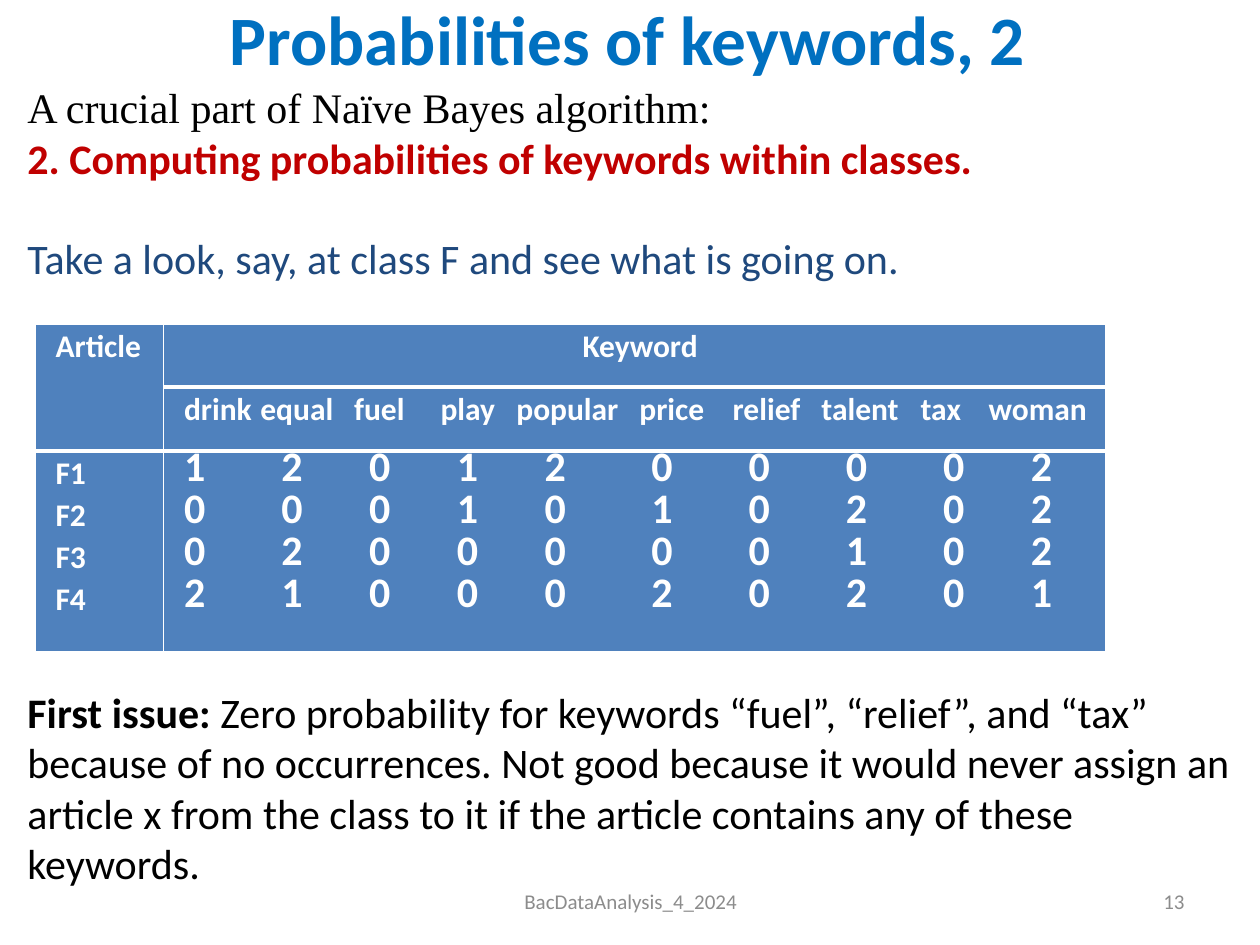
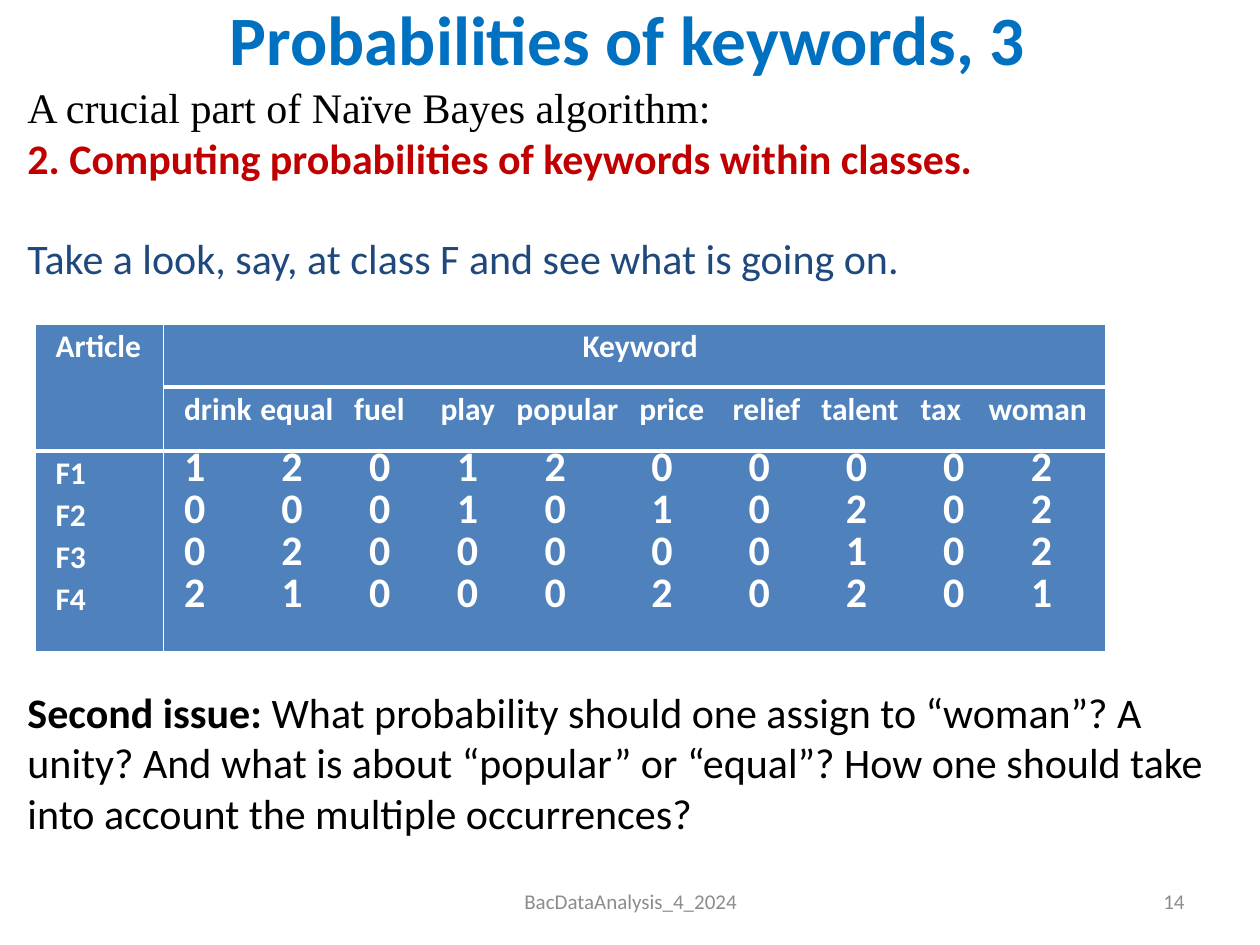
import itertools

import pptx
import pptx.dml.color
import pptx.enum.text
import pptx.oxml
import pptx.oxml.ns
import pptx.util
from pptx.util import Cm

ALIGN = pptx.enum.text.PP_ALIGN
ANCHOR = pptx.enum.text.MSO_ANCHOR
NAMESPACE = pptx.oxml.ns.nsdecls("a")

TITLE_BLUE = "0070C0"
TABLE_BLUE = "4F81BD"
DARK_BLUE = "1F497D"
RED = "C00000"
GREY = "8C8C8C"
BLACK = "000000"
WHITE = "FFFFFF"

FONT = "Calibri"
BODY_SIZE = 24
BODY_LINE = 28.8
TABLE_LINE = 24
FOOTER = "BacDataAnalysis_4_2024"
FIRST_NUMBER = 13

KEYWORDS = ["drink", "equal", "fuel", "play", "popular", "price", "relief", "talent", "tax", "woman"]
KEYWORD_GAPS = [1.54, 1.89, 1.74, 1.53, 2.48, 1.88, 1.79, 2, 1.37]
COUNT_GAPS = [1.96, 1.77, 1.77, 1.77, 2.15, 1.96, 1.96, 1.96, 1.77]
COUNTS = {
    "F1": [1, 2, 0, 1, 2, 0, 0, 0, 0, 2],
    "F2": [0, 0, 0, 1, 0, 1, 0, 2, 0, 2],
    "F3": [0, 2, 0, 0, 0, 0, 0, 1, 0, 2],
    "F4": [2, 1, 0, 0, 0, 2, 0, 2, 0, 1],
}

SLIDES = [
    ("Probabilities of keywords, 2", "First issue: ",
     "Zero probability for keywords “fuel”, “relief”, and “tax” because of no occurrences. "
     "Not good because it would never assign an article x from the class to it "
     "if the article contains any of these keywords."),
    ("Probabilities of keywords, 3", "Second issue: ",
     "What probability should one assign to “woman”? A unity? And what is about “popular” "
     "or “equal”? How one should take into account the multiple occurrences?"),
]


def rgb(value):
    return pptx.dml.color.RGBColor.from_string(value)


def format_run(run, size, color, bold=False, font=FONT):
    run.font.name = font
    run.font.size = pptx.util.Pt(size)
    run.font.bold = bold
    run.font.color.rgb = rgb(color)


def place(shape, left, top, width, height):
    shape.left, shape.top, shape.width, shape.height = Cm(left), Cm(top), Cm(width), Cm(height)
    shape.text_frame.word_wrap = True
    shape.text_frame.auto_size = pptx.enum.text.MSO_AUTO_SIZE.NONE


def set_title(slide, text):
    title = slide.shapes.title
    place(title, 0.5, 0.08, 24.3, 1.37)
    title.text_frame.vertical_anchor = ANCHOR.MIDDLE
    title.text_frame.text = text
    paragraph = title.text_frame.paragraphs[0]
    paragraph.alignment = ALIGN.CENTER
    format_run(paragraph.runs[0], 39.6, TITLE_BLUE, True)


def add_body_paragraph(text_frame, lines_before, runs):
    first = lines_before is None
    paragraph = text_frame.paragraphs[0] if first else text_frame.add_paragraph()
    properties = paragraph._p.get_or_add_pPr()
    properties.set("marL", "0")
    properties.set("indent", "0")
    properties.append(pptx.oxml.parse_xml(f"<a:buNone {NAMESPACE}/>"))
    paragraph.line_spacing = pptx.util.Pt(BODY_LINE)
    paragraph.space_before = pptx.util.Pt(BODY_LINE * (lines_before or 0))
    for text, color, bold, font in runs:
        run = paragraph.add_run()
        run.text = text
        format_run(run, BODY_SIZE, color, bold, font)


def fill_body(slide, issue, explanation):
    body = slide.placeholders[1]
    place(body, 0.3, 1.52, 24.79, 17.53)
    text_frame = body.text_frame
    add_body_paragraph(text_frame, None, [
        ("A crucial part of Naïve Bayes algorithm:", BLACK, False, "Times New Roman")])
    add_body_paragraph(text_frame, 0, [
        ("2. Computing probabilities of keywords within classes.", RED, True, FONT)])
    add_body_paragraph(text_frame, 1, [
        ("Take a look, say, at class F and see what is going on.", DARK_BLUE, False, FONT)])
    add_body_paragraph(text_frame, 8, [
        (issue, BLACK, True, FONT), (explanation, BLACK, False, FONT)])


def add_footer_text(slide, text, left, width, alignment):
    box = slide.shapes.add_textbox(0, 0, 0, 0)
    place(box, left, 17.65, width, 1.02)
    box.text_frame.vertical_anchor = ANCHOR.MIDDLE
    box.text_frame.text = text
    paragraph = box.text_frame.paragraphs[0]
    paragraph.alignment = alignment
    format_run(paragraph.runs[0], 12, GREY)


def set_borders(cell, top, bottom):
    properties = cell._tc.get_or_add_tcPr()
    for position, (side, width) in enumerate([("L", 1), ("R", 1), ("T", top), ("B", bottom)]):
        properties.insert(position, pptx.oxml.parse_xml(
            f'<a:ln{side} {NAMESPACE} w="{pptx.util.Pt(width)}"><a:solidFill>'
            f'<a:srgbClr val="{WHITE}"/></a:solidFill></a:ln{side}>'))


def set_tab_stops(paragraph, gaps):
    stops = "".join(f'<a:tab pos="{Cm(stop)}" algn="l"/>' for stop in itertools.accumulate(gaps))
    paragraph._p.get_or_add_pPr().append(
        pptx.oxml.parse_xml(f"<a:tabLst {NAMESPACE}>{stops}</a:tabLst>"))


def fill_cell(cell, lines, size=18, gaps=(), alignment=ALIGN.LEFT):
    cell.margin_left, cell.margin_right = Cm(0.41), Cm(0.2)
    cell.margin_top = cell.margin_bottom = 0
    cell.text_frame.text = "\n".join(lines)
    for paragraph in cell.text_frame.paragraphs:
        if gaps:
            set_tab_stops(paragraph, gaps)
        paragraph.alignment = alignment
        paragraph.line_spacing = pptx.util.Pt(TABLE_LINE)
        format_run(paragraph.runs[0], size, WHITE, True)


def add_keyword_table(slide):
    table = slide.shapes.add_table(3, 2, Cm(0.71), Cm(6.53), Cm(21.6), Cm(6.6)).table
    table.first_row = table.horz_banding = False
    for column, width in zip(table.columns, [2.59, 19]):
        column.width = Cm(width)
    for row, height, borders in zip(table.rows, [1.27, 1.29, 4.04], [(1, 3), (3, 3), (3, 1)]):
        row.height = Cm(height)
        for cell in row.cells:
            cell.fill.solid()
            cell.fill.fore_color.rgb = rgb(TABLE_BLUE)
            set_borders(cell, *borders)
    table.cell(0, 0).merge(table.cell(1, 0))
    fill_cell(table.cell(0, 0), ["Article"])
    fill_cell(table.cell(0, 1), ["Keyword"], alignment=ALIGN.CENTER)
    fill_cell(table.cell(1, 1), ["\t".join(KEYWORDS)], gaps=KEYWORD_GAPS)
    fill_cell(table.cell(2, 0), COUNTS)
    count_lines = ["\t".join(map(str, counts)) for counts in COUNTS.values()]
    fill_cell(table.cell(2, 1), count_lines, size=24, gaps=COUNT_GAPS)


def main():
    presentation = pptx.Presentation()
    presentation.slide_width, presentation.slide_height = Cm(25.4), Cm(19.05)
    for number, (title, issue, explanation) in enumerate(SLIDES, FIRST_NUMBER):
        slide = presentation.slides.add_slide(presentation.slide_layouts[1])
        set_title(slide, title)
        fill_body(slide, issue, explanation)
        add_footer_text(slide, FOOTER, 8.69, 8.05, ALIGN.CENTER)
        add_footer_text(slide, str(number), 18.21, 5.92, ALIGN.RIGHT)
        add_keyword_table(slide)
    presentation.save("out.pptx")


if __name__ == "__main__":
    main()
